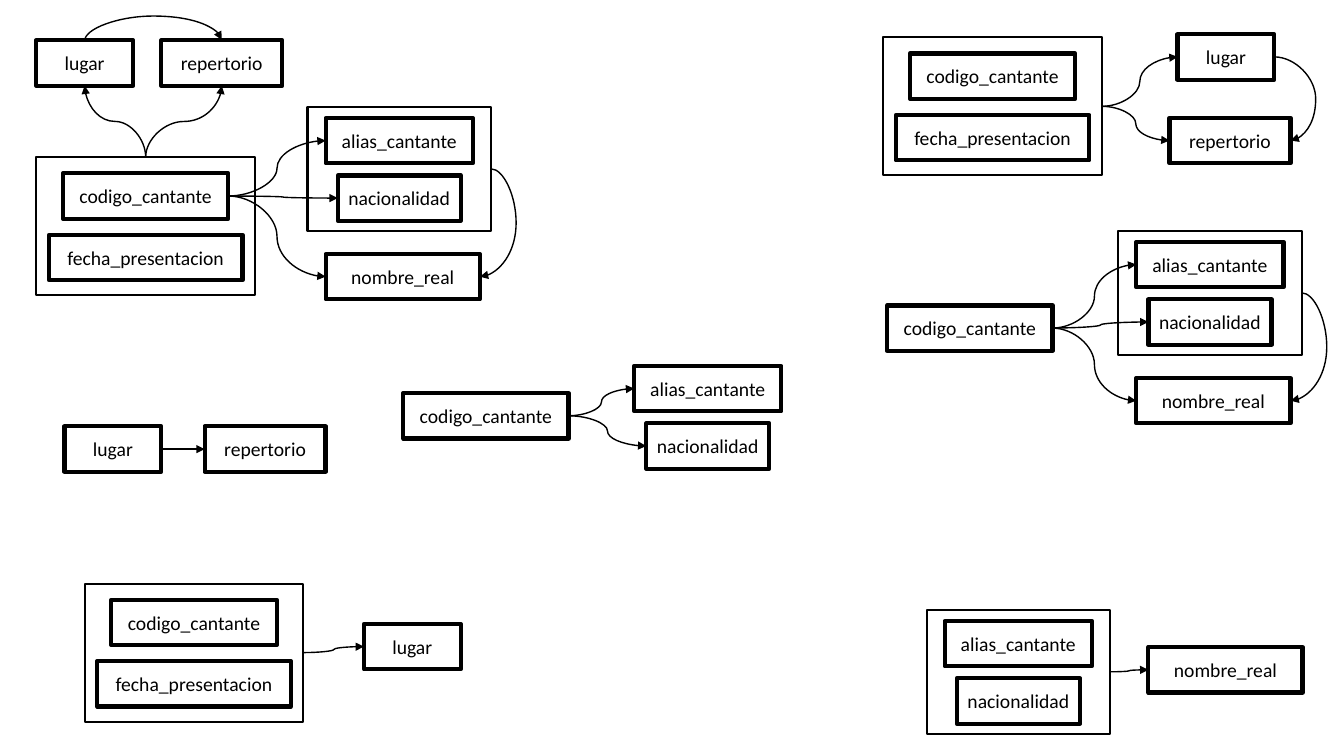
import pptx
import pptx.util
import pptx.dml.color
import pptx.enum.shapes
import pptx.enum.text
import pptx.oxml
import pptx.oxml.ns

COLORS = {"ink": "000000"}
# The slide is a grid of 1333 columns by 750 rows
COLUMNS, ROWS = 1333, 750
CELL = pptx.util.Inches(0.01)
FIELD_HEIGHT = 45
FIELD_WIDTHS = {
    "codigo_cantante": 164, "fecha_presentacion": 192,
    "alias_cantante": 146, "nacionalidad": 122,
    "nombre_real": 153, "lugar": 96, "repertorio": 120,
}
BULGE = 25 * CELL
TOP, LEFT, RIGHT = 0, 1, 3


def ink():
    return pptx.dml.color.RGBColor.from_string(COLORS["ink"])


def apply(target, values):
    for name, value in values.items():
        setattr(target, name, value)


def rectangle(page, left, top, width, height, weight):
    box = page.shapes.add_shape(
        pptx.enum.shapes.MSO_SHAPE.RECTANGLE,
        *(cells * CELL for cells in (left, top, width, height)))
    box.shadow.inherit = False
    box.fill.background()
    box.line.color.rgb = ink()
    box.line.width = pptx.util.Pt(weight)
    return box


def field(page, name, left, top):
    box = rectangle(page, left, top, FIELD_WIDTHS[name], FIELD_HEIGHT, 3)
    apply(box.text_frame, {
        "word_wrap": True, "margin_left": 0, "margin_right": 0,
        "vertical_anchor": pptx.enum.text.MSO_ANCHOR.MIDDLE})
    para = box.text_frame.paragraphs[0]
    para.alignment = pptx.enum.text.PP_ALIGN.CENTER
    span = para.add_run()
    span.text = name
    apply(span.font, {"name": "Calibri", "size": pptx.util.Pt(14)})
    span.font.color.rgb = ink()
    return box


def arrow(page, source, target, start=RIGHT, end=LEFT):
    """Curved arrow between two sides; equal sides give an outward loop."""
    link = page.shapes.add_connector(
        pptx.enum.shapes.MSO_CONNECTOR.CURVE, 0, 0, 0, 0)
    link.begin_connect(source, start)
    link.end_connect(target, end)
    x1, y1, x2, y2 = link.begin_x, link.begin_y, link.end_x, link.end_y
    properties = link.element.spPr
    bend = 0.5
    if start == TOP:
        # Vertical routes are laid flat, then turned to point upwards
        rise, run = max(y1 - y2, CELL), x2 - x1
        middle_x, middle_y = (x1 + x2) // 2, (y1 + y2) // 2
        apply(link, {
            "begin_x": middle_x - rise // 2, "begin_y": middle_y - run // 2,
            "end_x": middle_x + rise // 2, "end_y": middle_y + run // 2})
        properties.find(pptx.oxml.ns.qn("a:xfrm")).set("rot", str(270 * 60000))
        if end == TOP:
            bend = BULGE / rise
    elif end == RIGHT:
        bend = (max(x1, x2) + BULGE - x1) / (x2 - x1)
    guides = properties.find(pptx.oxml.ns.qn("a:prstGeom")).get_or_add_avLst()
    guides.append(pptx.oxml.parse_xml(
        f'<a:gd {pptx.oxml.ns.nsdecls("a")} name="adj1" '
        f'fmla="val {round(bend * 100000)}"/>'))
    link.line.color.rgb = ink()
    link.line.width = pptx.util.Pt(1)
    for tag in ('tailEnd type="triangle"', "effectLst"):
        name, _, attributes = tag.partition(" ")
        part = pptx.oxml.parse_xml(
            f'<a:{name} {pptx.oxml.ns.nsdecls("a")} {attributes}/>')
        (properties if name == "effectLst" else link.line._get_or_add_ln()).append(part)


def stack(page, names, left, top, width, rows):
    """Fields centred under each other in a column of the given width."""
    return [field(page, name, left + (width - FIELD_WIDTHS[name]) / 2, top + row)
            for name, row in zip(names, rows)]


def performance_key(page, left, top):
    frame = rectangle(page, left, top, 217, 137, 1.5)
    singer, _ = stack(page, ("codigo_cantante", "fecha_presentacion"),
                      left, top, 217, (16, 77))
    return frame, singer


def artist_fields(page, left, top):
    return stack(page, ("alias_cantante", "nacionalidad"), left, top, 182, (11, 68))


def artist_key(page, left, top):
    return rectangle(page, left, top, 182, 123, 1.5), artist_fields(page, left, top)


def artist_dependencies(page, singer, left, top):
    frame, details = artist_key(page, left, top)
    real_name = field(page, "nombre_real", left + 18, top + 146)
    for target in (*details, real_name):
        arrow(page, singer, target)
    arrow(page, frame, real_name, end=RIGHT)


def all_dependencies(page, left, top):
    frame, singer = performance_key(page, left, top + 116)
    place = field(page, "lugar", left, top)
    repertoire = field(page, "repertorio", left + 124, top)
    for target in (place, repertoire):
        arrow(page, frame, target, TOP, 2)
    arrow(page, place, repertoire, TOP, TOP)
    artist_dependencies(page, singer, left + 269, top + 66)


def performance_dependencies(page, left, top):
    frame, _ = performance_key(page, left, top)
    place = field(page, "lugar", left + 292, top - 3)
    repertoire = field(page, "repertorio", left + 284, top + 80)
    for target in (place, repertoire):
        arrow(page, frame, target)
    arrow(page, place, repertoire, end=RIGHT)


def singer_dependencies(page, left, top):
    singer = field(page, "codigo_cantante", left, top)
    artist_dependencies(page, singer, left + 229, top - 74)


def singer_details(page, left, top):
    singer = field(page, "codigo_cantante", left, top)
    for target in artist_fields(page, left + 211, top - 38):
        arrow(page, singer, target)


def place_repertoire(page, left, top):
    place = field(page, "lugar", left, top)
    arrow(page, place, field(page, "repertorio", left + 139, top))


def performance_place(page, left, top):
    frame, _ = performance_key(page, left, top)
    arrow(page, frame, field(page, "lugar", left + 277, top + 40))


def artist_name(page, left, top):
    frame, _ = artist_key(page, left, top)
    arrow(page, frame, field(page, "nombre_real", left + 220, top + 37))


def main():
    deck = pptx.Presentation()
    apply(deck, {"slide_width": COLUMNS * CELL, "slide_height": ROWS * CELL})
    page = deck.slides.add_slide(deck.slide_layouts[6])
    for region, left, top in (
            (all_dependencies, 36, 40),
            (performance_dependencies, 876, 37),
            (singer_dependencies, 880, 303),
            (singer_details, 400, 390),
            (artist_name, 919, 605),
            (place_repertoire, 64, 423),
            (performance_place, 84, 579)):
        region(page, left, top)
    deck.save("out.pptx")


if __name__ == "__main__":
    main()
